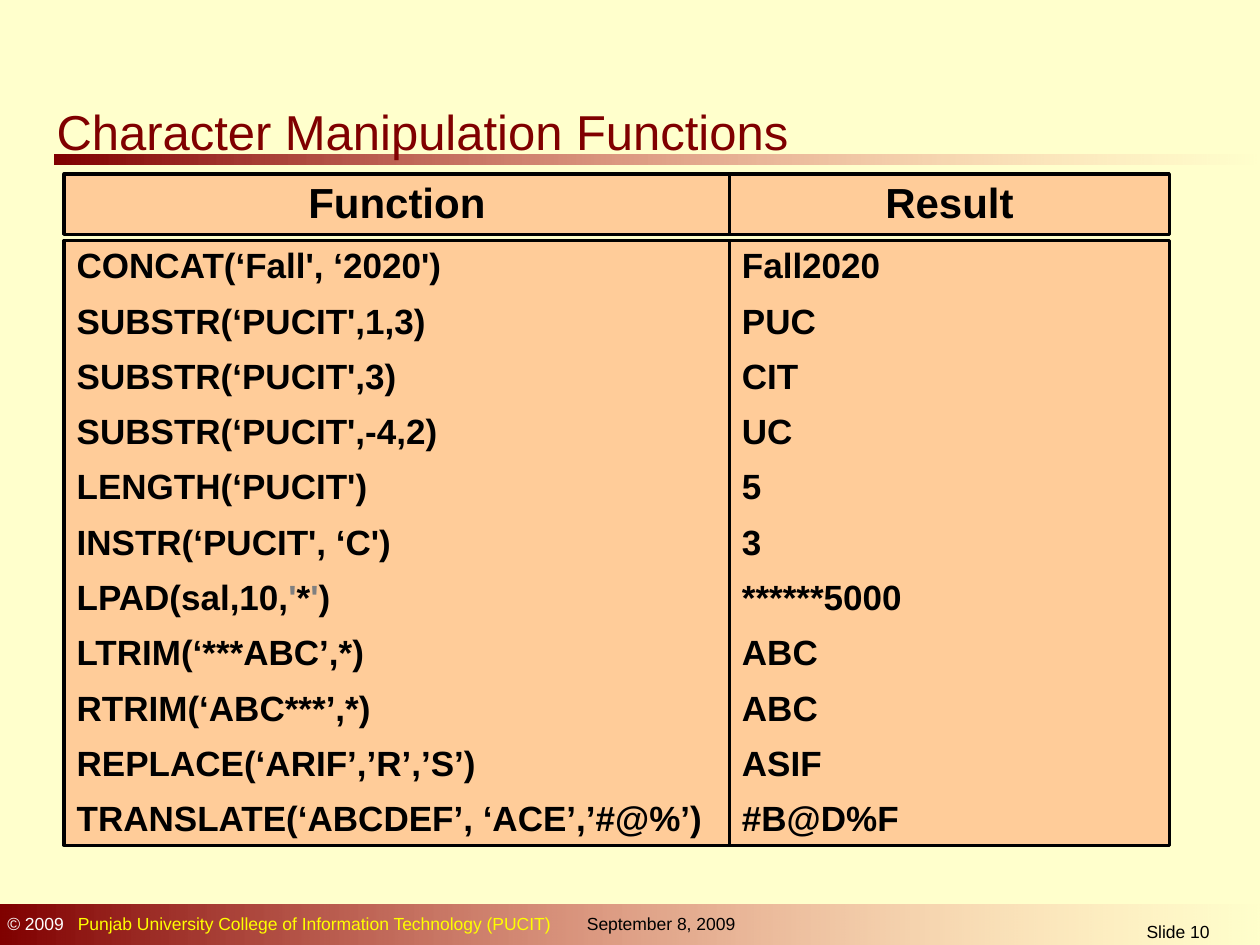
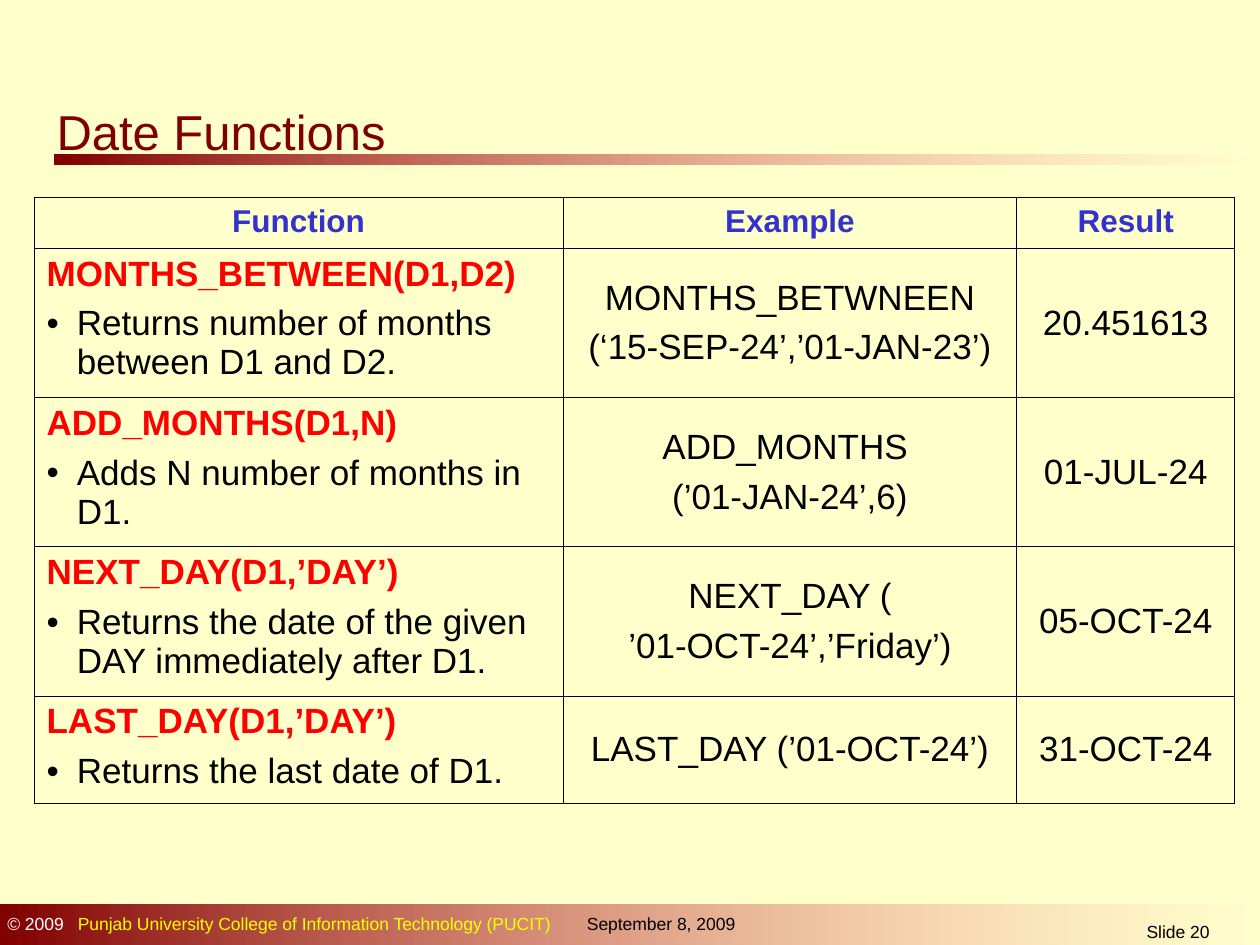
"""Build two slides on SQL character and date functions."""
from lxml import etree
from pptx import Presentation
from pptx.dml.color import RGBColor
from pptx.enum.shapes import MSO_SHAPE
from pptx.enum.text import MSO_ANCHOR, PP_ALIGN
from pptx.oxml.ns import qn
from pptx.util import Inches, Pt

RECT = MSO_SHAPE.RECTANGLE
LEFT, CENTER = PP_ALIGN.LEFT, PP_ALIGN.CENTER
TOP, MIDDLE = MSO_ANCHOR.TOP, MSO_ANCHOR.MIDDLE
FONT = "Arial"
CREAM, PEACH, MAROON, PINK = "FFFFCC", "FFCC99", "800000", "FF8585"
BLACK, WHITE, YELLOW, GRAY = "000000", "FFFFFF", "FFFF00", "808080"
BLUE, RED = "3333CC", "FF0000"


def rgb(value):
    """Turn a hex string into a colour."""
    return RGBColor.from_string(value)


def write(tf, paragraphs, size, bold=False, align=LEFT, space=0, line=None):
    """Fill a text frame with paragraphs given as lists of (text, colour) runs."""
    tf.word_wrap = True
    for i, runs in enumerate(paragraphs):
        p = tf.add_paragraph() if i else tf.paragraphs[0]
        p.alignment = align
        if line:
            p.line_spacing = line
        if i and space:
            p.space_before = Pt(space)
        for text, color in runs:
            r = p.add_run()
            r.text = text
            r.font.name = FONT
            r.font.size = Pt(size)
            r.font.bold = bold
            r.font.color.rgb = rgb(color)


prs = Presentation()
prs.slide_width, prs.slide_height = Inches(10), Inches(7.5)

bands = [(0.43, 1.23, 9.57, 0.08), (0, 7.18, 10.03, 0.35)]
owner = [("© 2009", WHITE),
         ("\tPunjab University College of Information Technology (PUCIT)", YELLOW)]
slides = []
for title, number in [("Character Manipulation Functions", 10), ("Date Functions", 20)]:
    s = prs.slides.add_slide(prs.slide_layouts[6])
    slides.append(s)
    s.background.fill.solid()
    s.background.fill.fore_color.rgb = rgb(CREAM)

    for box in bands:
        sp = s.shapes.add_shape(RECT, *map(Inches, box))
        sp.shadow.inherit = False
        sp.line.fill.background()
        sp.fill.gradient()
        sp.fill.gradient_angle = 0
        for stop, color, position in zip(sp.fill.gradient_stops, (MAROON, PINK), (0, 1)):
            stop.color.rgb = rgb(color)
            stop.position = position
        last = list(sp.fill._fill._gradFill.iter(qn("a:srgbClr")))[-1]
        etree.SubElement(last, qn("a:alpha"), val="0")

    labels = [
        ((0.35, 0.76, 6.05, 0.47), [(title, MAROON)], 28, LEFT),
        ((-0.04, 7.2, 4.6, 0.27), owner, 10, LEFT),
        ((4.56, 7.2, 1.54, 0.27), [("September 8, 2009", BLACK)], 10, LEFT),
        ((8.31, 7.26, 2.08, 0.24), [(f"Slide {number}", BLACK)], 10, CENTER),
    ]
    for box, runs, size, align in labels:
        tf = s.shapes.add_textbox(*map(Inches, box)).text_frame
        write(tf, [runs], size, align=align)
        if runs is owner:
            tabs = etree.SubElement(tf.paragraphs[0]._p.get_or_add_pPr(), qn("a:tabLst"))
            etree.SubElement(tabs, qn("a:tab"), pos=str(Inches(0.56)), algn="l")

character_slide, date_slide = slides

calls = [
    ("CONCAT(‘Fall', ‘2020')", "Fall2020"),
    ("SUBSTR(‘PUCIT',1,3)", "PUC"),
    ("SUBSTR(‘PUCIT',3)", "CIT"),
    ("SUBSTR(‘PUCIT',-4,2)", "UC"),
    ("LENGTH(‘PUCIT')", "5"),
    ("INSTR(‘PUCIT', ‘C')", "3"),
    ("LPAD(sal,10,'*')", "******5000"),
    ("LTRIM(‘***ABC’,*)", "ABC"),
    ("RTRIM(‘ABC***’,*)", "ABC"),
    ("REPLACE(‘ARIF’,’R’,’S’)", "ASIF"),
    ("TRANSLATE(‘ABCDEF’, ‘ACE’,’#@%’)", "#B@D%F"),
]
functions = [[(call, BLACK)] for call, result in calls]
functions[6] = [("LPAD(sal,10,", BLACK), ("'", GRAY), ("*", BLACK), ("'", GRAY), (")", BLACK)]
results = [[(result, BLACK)] for call, result in calls]
columns = [(0.51, 5.28, "Function", functions), (5.79, 3.49, "Result", results)]
for left, width, heading, lines in columns:
    parts = [(1.91, 4.8, lines, 20, LEFT, TOP),
             (1.38, 0.48, [[(heading, BLACK)]], 24, CENTER, MIDDLE)]
    for top, height, paragraphs, size, align, anchor in parts:
        sp = character_slide.shapes.add_shape(
            RECT, Inches(left), Inches(top), Inches(width), Inches(height))
        sp.shadow.inherit = False
        sp.fill.solid()
        sp.fill.fore_color.rgb = rgb(PEACH)
        sp.line.color.rgb = rgb(BLACK)
        sp.line.width = Pt(2)
        sp.text_frame.vertical_anchor = anchor
        write(sp.text_frame, paragraphs, size, True, align, 8.8, 0.95)

headings = ["Function", "Example", "Result"]
date_functions = [
    ("MONTHS_BETWEEN(D1,D2)", "Returns number of months between D1 and D2.",
     ["MONTHS_BETWNEEN", "(‘15-SEP-24’,’01-JAN-23’)"], "20.451613"),
    ("ADD_MONTHS(D1,N)", "Adds N number of months in D1.",
     ["ADD_MONTHS ", "(’01-JAN-24’,6)"], "01-JUL-24"),
    ("NEXT_DAY(D1,’DAY’)", "Returns the date of the given DAY immediately after D1.",
     ["NEXT_DAY (", "’01-OCT-24’,’Friday’)"], "05-OCT-24"),
    ("LAST_DAY(D1,’DAY’)", "Returns the last date of D1.",
     ["LAST_DAY (’01-OCT-24’)"], "31-OCT-24"),
]
widths = [4.2, 3.6, 1.73]
heights = [0.4, 1.18, 1.18, 1.18, 0.85]
table = date_slide.shapes.add_table(
    len(heights), len(widths), Inches(0.27), Inches(1.57),
    Inches(sum(widths)), Inches(sum(heights))).table
table.first_row = table.horz_banding = False
for column, width in zip(table.columns, widths):
    column.width = Inches(width)
for row, height in zip(table.rows, heights):
    row.height = Inches(height)

for cell, heading in zip(table.rows[0].cells, headings):
    write(cell.text_frame, [[(heading, BLUE)]], 18, True, CENTER)

for i, (name, purpose, example, result) in enumerate(date_functions, 1):
    tf = table.cell(i, 0).text_frame
    write(tf, [[(name, RED)], [(purpose, BLACK)]], 20, space=6)
    tf.paragraphs[0].runs[0].font.bold = True
    pPr = tf.paragraphs[1]._p.get_or_add_pPr()
    pPr.set("marL", str(Inches(0.24)))
    pPr.set("indent", str(Inches(-0.24)))
    etree.SubElement(pPr, qn("a:buFont"), typeface=FONT)
    etree.SubElement(pPr, qn("a:buChar"), char="•")
    for j, lines in enumerate((example, [result]), 1):
        cell = table.cell(i, j)
        cell.vertical_anchor = MIDDLE
        write(cell.text_frame, [[(text, BLACK)] for text in lines], 20, align=CENTER, space=6)

for cell in table.iter_cells():
    cell.fill.background()
    tcPr = cell._tc.get_or_add_tcPr()
    for i, side in enumerate(("a:lnL", "a:lnR", "a:lnT", "a:lnB")):
        ln = etree.Element(qn(side), w=str(Pt(0.45)))
        fill = etree.SubElement(ln, qn("a:solidFill"))
        etree.SubElement(fill, qn("a:srgbClr"), val=BLACK)
        tcPr.insert(i, ln)

prs.save("out.pptx")
